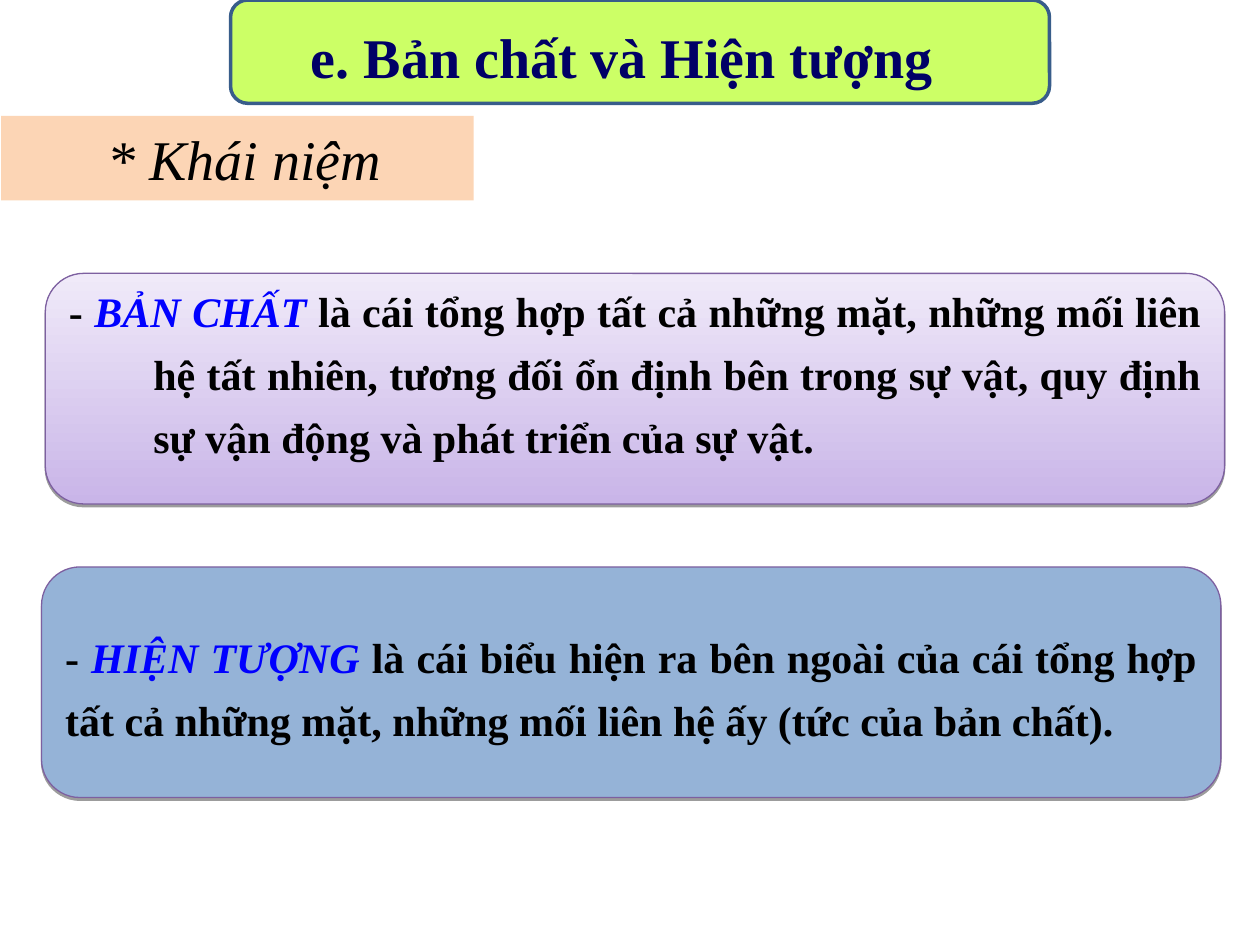
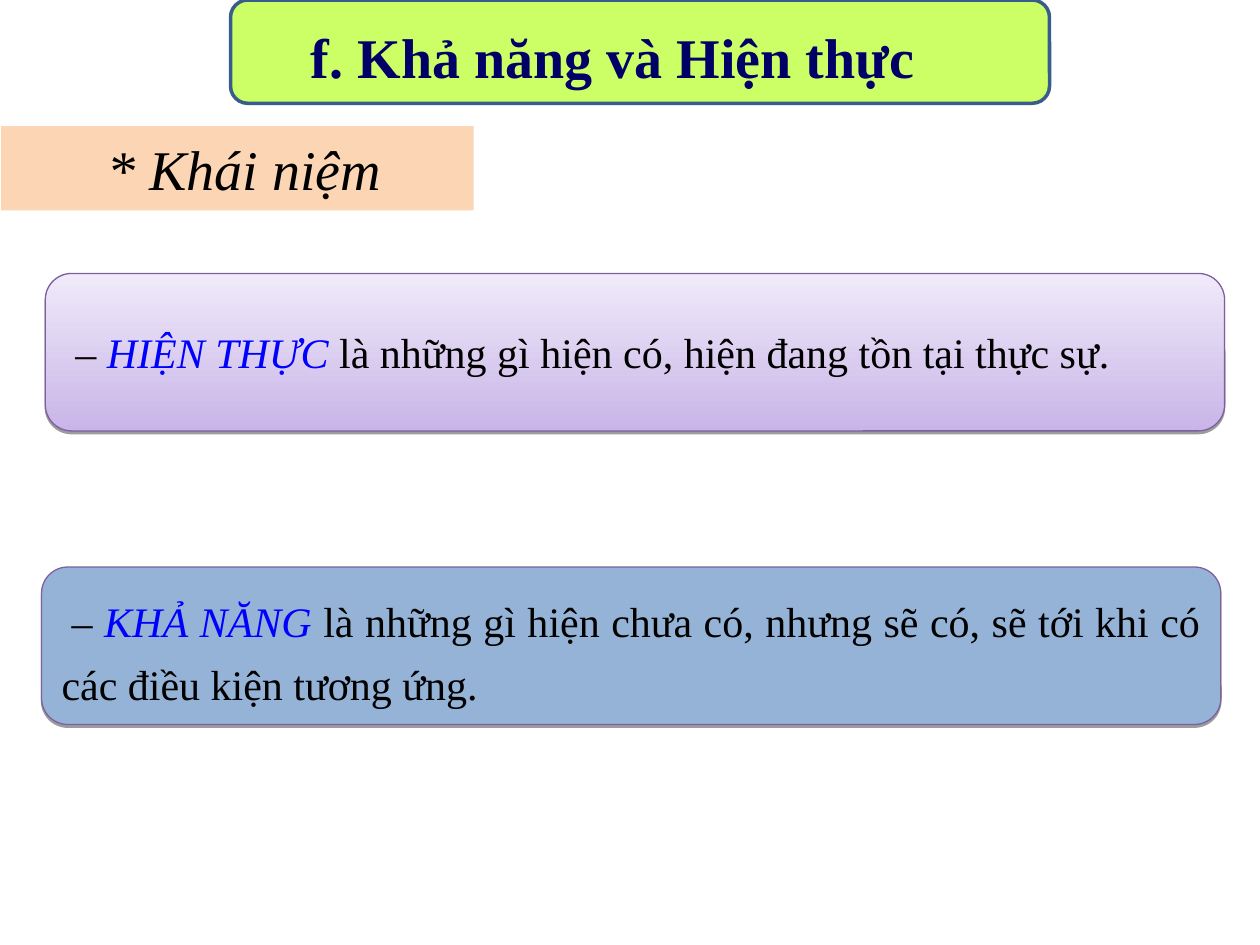
"""Build two lesson slides that define paired philosophical categories."""
from lxml.etree import SubElement
from pptx import Presentation
from pptx.dml.color import RGBColor
from pptx.enum.shapes import MSO_SHAPE as Shape
from pptx.enum.text import MSO_ANCHOR as Anchor, PP_ALIGN as Align
from pptx.oxml.ns import qn
from pptx.util import Inches, Pt

LIME = RGBColor(0xCC, 0xFF, 0x66)
STEEL = RGBColor(0x38, 0x5D, 0x8A)
NAVY = RGBColor(0x00, 0x00, 0x66)
PEACH = RGBColor(0xFC, 0xD5, 0xB5)
LILAC = RGBColor(0xC9, 0xB5, 0xE8)
PALE_LILAC = RGBColor(0xF0, 0xEA, 0xF9)
SKY = RGBColor(0x95, 0xB3, 0xD7)
PURPLE = RGBColor(0x7D, 0x60, 0xA0)
BLUE = RGBColor(0x00, 0x00, 0xFF)
BLACK = RGBColor(0x00, 0x00, 0x00)
FONT = "Times New Roman"
TITLE_ONLY = 5


def set_font(font, size, color, bold=False, italic=False):
    """Apply the shared typeface with the given size, colour and style."""
    font.name, font.size = FONT, Pt(size)
    font.bold, font.italic = bold, italic
    font.color.rgb = color


def set_indent(paragraph, left, first=0):
    """Set the left margin and the first-line indent in inches."""
    properties = paragraph._p.get_or_add_pPr()
    properties.set("marL", str(Inches(left)))
    properties.set("indent", str(Inches(first)))


def add_panel(page, left, top, width, height, line_color, line_width):
    """Add an outlined rounded panel with middle-anchored text."""
    panel = page.shapes.add_shape(
        Shape.ROUNDED_RECTANGLE, Inches(left), Inches(top), Inches(width), Inches(height))
    panel.shadow.inherit = False
    panel.line.color.rgb = line_color
    panel.line.width = Pt(line_width)
    panel.text_frame.word_wrap = True
    panel.text_frame.vertical_anchor = Anchor.MIDDLE
    return panel


def add_header(page, text):
    """Add the green section header at the top of the page."""
    header = add_panel(page, 1.83, 0, 6.5, 0.82, STEEL, 2)
    header.fill.solid()
    header.fill.fore_color.rgb = LIME
    header.text_frame.margin_top = Inches(0.12)
    paragraph = header.text_frame.paragraphs[0]
    paragraph.text = text
    paragraph.alignment = Align.LEFT
    set_indent(paragraph, 0.5)
    set_font(paragraph.font, 32, NAVY, bold=True)


def set_title(page, top):
    """Place the peach title band."""
    title = page.shapes.title
    title.left, title.top = Inches(0.01), Inches(top)
    title.width, title.height = Inches(3.75), Inches(0.67)
    title.fill.solid()
    title.fill.fore_color.rgb = PEACH
    title.text_frame.vertical_anchor = Anchor.MIDDLE
    paragraph = title.text_frame.paragraphs[0]
    paragraph.text = "* Khái niệm"
    paragraph.alignment = Align.CENTER
    set_indent(paragraph, 0.11)
    set_font(paragraph.font, 32, BLACK, italic=True)


def add_drop_shadow(shape):
    """Give a shape a thin shadow straight below it."""
    effects = shape._element.spPr.find(qn("a:effectLst"))
    shadow = SubElement(effects, qn("a:outerShdw"), blurRad="0", dist=str(Pt(1.6)),
                        dir="5400000", rotWithShape="0")
    color = SubElement(shadow, qn("a:srgbClr"), val=str(BLACK))
    SubElement(color, qn("a:alpha"), val="38000")


def add_card(page, left, top, height, spans, bold, indent=(0, 0), spacing=1.25):
    """Add a definition card whose middle span is the highlighted term."""
    card = add_panel(page, left, top, 9.36, height, PURPLE, 0.75)
    add_drop_shadow(card)
    paragraph = card.text_frame.paragraphs[0]
    paragraph.alignment = Align.JUSTIFY
    paragraph.line_spacing = spacing
    set_indent(paragraph, *indent)
    set_font(paragraph.font, 24, BLACK, bold)
    for text in spans:
        span = paragraph.add_run()
        span.text = text
    term = paragraph.runs[1]
    term.font.italic = True
    term.font.color.rgb = BLUE
    return card


def add_upper_card(page, height, spans, bold, indent, spacing=1.25):
    """Add the upper card with its lilac gradient."""
    card = add_card(page, 0.36, 2.17, height, spans, bold, indent, spacing)
    card.fill.gradient()
    card.fill.gradient_angle = 90
    for stop, color in zip(card.fill.gradient_stops, (LILAC, PALE_LILAC)):
        stop.color.rgb = color
    return card


def add_lower_card(page, height, spans, bold, indent=(0, 0)):
    """Add the lower card with its flat blue fill."""
    card = add_card(page, 0.33, 4.5, height, spans, bold, indent)
    card.fill.solid()
    card.fill.fore_color.rgb = SKY


def add_page(deck, header, title_top):
    """Add a page with its header and title band."""
    page = deck.slides.add_slide(deck.slide_layouts[TITLE_ONLY])
    add_header(page, header)
    set_title(page, title_top)
    return page


def main():
    """Build and save the deck."""
    deck = Presentation()
    deck.slide_width, deck.slide_height = Inches(10), Inches(7.5)

    page = add_page(deck, "e. Bản chất và Hiện tượng", 0.92)
    essence = add_upper_card(page, 1.83, (
        "- ", "BẢN CHẤT",
        " là cái tổng hợp tất cả những mặt, những mối liên hệ tất nhiên, tương đối "
        "ổn định bên trong sự vật, quy định sự vận động và phát triển của sự vật."),
        bold=True, indent=(0.67, -0.67))
    essence.text_frame.margin_bottom = Inches(0.39)
    add_lower_card(page, 1.83, (
        "- ", "HIỆN TƯỢNG",
        " là cái biểu hiện ra bên ngoài của cái tổng hợp tất cả những mặt, "
        "những mối liên hệ ấy (tức của bản chất)."), bold=True)

    page = add_page(deck, "f. Khả năng và Hiện thực", 1)
    add_upper_card(page, 1.25, (
        "– ", "HIỆN THỰC", " là những gì hiện có, hiện đang tồn tại thực sự."),
        bold=False, indent=(0.08, 0), spacing=1.0)
    add_lower_card(page, 1.25, (
        "– ", "KHẢ NĂNG",
        " là những gì hiện chưa có, nhưng sẽ có, sẽ tới khi có các điều kiện tương ứng."),
        bold=False, indent=(0, 0.08))

    deck.save("out.pptx")


if __name__ == "__main__":
    main()
